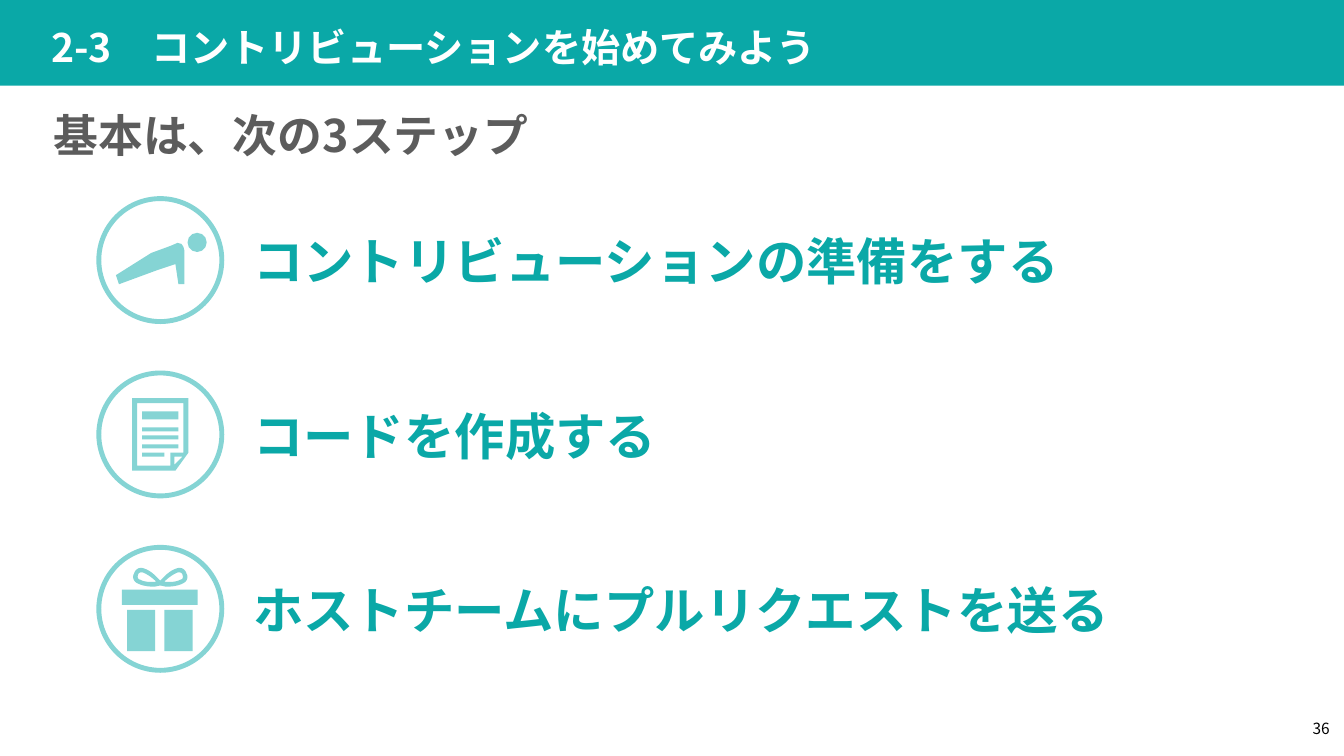
from dataclasses import dataclass

from lxml.etree import SubElement
from pptx import Presentation
from pptx.dml.color import RGBColor
from pptx.enum.shapes import MSO_SHAPE
from pptx.enum.text import MSO_ANCHOR, MSO_AUTO_SIZE, PP_ALIGN
from pptx.oxml.ns import qn
from pptx.util import Inches, Pt


@dataclass(frozen=True)
class Theme:
    font: str = "Noto Sans CJK JP"
    teal: RGBColor = RGBColor(0x0A, 0xA8, 0xA7)
    pale_teal: RGBColor = RGBColor(0x85, 0xD4, 0xD4)
    gray: RGBColor = RGBColor(0x5C, 0x5C, 0x5C)
    white: RGBColor = RGBColor(0xFF, 0xFF, 0xFF)
    black: RGBColor = RGBColor(0, 0, 0)
    title_size: Pt = Pt(28)
    lead_size: Pt = Pt(32)
    step_size: Pt = Pt(36)
    number_size: Pt = Pt(11)


def write(shape, text, size, color, bold=True, margins=(0, 0, 0, 0),
          anchor=MSO_ANCHOR.MIDDLE, align=PP_ALIGN.LEFT):
    frame = shape.text_frame
    frame.word_wrap = True
    frame.auto_size = MSO_AUTO_SIZE.NONE
    frame.vertical_anchor = anchor
    (frame.margin_left, frame.margin_top,
     frame.margin_right, frame.margin_bottom) = map(Inches, margins)
    paragraph = frame.paragraphs[0]
    paragraph.text = text
    paragraph.alignment = align
    font = paragraph.font
    font.size, font.bold, font.name = size, bold, theme.font
    font.color.rgb = color
    # East Asian glyphs take their typeface from a separate element
    SubElement(font._element, qn("a:ea")).set("typeface", theme.font)
    return paragraph


def paint(shape, fill, line=None):
    shape.shadow.inherit = False
    shape.fill.solid()
    shape.fill.fore_color.rgb = fill
    if line is None:
        shape.line.fill.background()
    else:
        shape.line.color.rgb = line
        shape.line.width = Pt(3.5)


theme = Theme()
prs = Presentation()
prs.slide_width, prs.slide_height = Inches(13.33), Inches(7.5)
slide = prs.slides.add_slide(prs.slide_layouts[5])
shapes = slide.shapes

# Header band, placed behind the title
band = shapes.add_shape(MSO_SHAPE.RECTANGLE, 0, 0, prs.slide_width, Inches(0.85))
paint(band, theme.teal)
shapes._spTree.insert(2, band._element)

title = shapes.title
title.left, title.top, title.width, title.height = 0, 0, Inches(12.52), Inches(0.82)
heading = write(title, "2-3　コントリビューションを始めてみよう", theme.title_size, theme.white,
                margins=(0.51, 0.12, 0.47, 0.12), anchor=MSO_ANCHOR.BOTTOM)
heading.line_spacing = 0.9

# Lead sentence and page number
lead = shapes.add_textbox(Inches(0.53), Inches(1.08), Inches(12.3), Inches(0.51))
write(lead, "基本は、次の3ステップ", theme.lead_size, theme.gray)
page_number = shapes.add_textbox(Inches(12.73), Inches(7.03), Inches(0.46), Inches(0.4))
write(page_number, "36", theme.number_size, theme.black, bold=False, align=PP_ALIGN.RIGHT)

# Bow of the gift: right half in cubic curves, mirrored for the left half
bow_curves = [
    [(0, -0.23), (0.02, -0.23), (0.04, -0.22), (0.07, -0.22),
     (0.12, -0.22), (0.18, -0.23), (0.22, -0.25),
     (0.27, -0.27), (0.28, -0.32), (0.26, -0.35),
     (0.25, -0.39), (0.21, -0.42), (0.16, -0.4),
     (0.09, -0.38), (0.03, -0.31), (0, -0.28)],
    [(0.17, -0.36), (0.2, -0.37), (0.22, -0.35), (0.22, -0.34),
     (0.23, -0.31), (0.22, -0.29), (0.2, -0.29),
     (0.17, -0.27), (0.1, -0.26), (0.04, -0.27),
     (0.07, -0.3), (0.12, -0.34), (0.17, -0.36)],
]
bow = []
for curve in bow_curves:
    points = [curve[0]]
    for i in range(0, len(curve) - 1, 3):
        for t in (step / 8 for step in range(1, 9)):
            weights = ((1 - t) ** 3, 3 * t * (1 - t) ** 2, 3 * t * t * (1 - t), t ** 3)
            points.append(tuple(sum(w * p[axis] for w, p in zip(weights, curve[i:i + 4]))
                                for axis in (0, 1)))
    bow += [points, [(-x, y) for x, y in points]]

# Icon parts, measured from the centre of the circle
body = [(0.24, -0.09), (0.23, -0.13), (0.21, -0.16), (0.17, -0.17), (0.1, -0.14),
        (-0.09, -0.07), (-0.44, 0.15), (-0.41, 0.24), (-0.03, 0.1), (0.15, 0.04),
        (0.18, 0.24), (0.24, 0.24)]
page = [[(0.28, 0.18), (0.28, -0.36), (-0.28, -0.36), (-0.28, 0.36), (0.15, 0.36)],
        [(0.1, 0.31), (-0.23, 0.31), (-0.23, -0.31), (0.23, -0.31), (0.23, 0.18), (0.1, 0.18)],
        [(0.14, 0.3), (0.14, 0.22), (0.22, 0.22)]]
head = (MSO_SHAPE.OVAL, 0.27, -0.27, 0.19, 0.19)
text_lines = [(MSO_SHAPE.RECTANGLE, -0.18, y, width, height) for y, width, height in
              [(-0.23, 0.36, 0.08), (-0.07, 0.36, 0.04), (0.01, 0.36, 0.04),
               (0.1, 0.36, 0.04), (0.18, 0.22, 0.04)]]
gift_box = [(MSO_SHAPE.RECTANGLE, -0.33, 0.01, 0.28, 0.41),
            (MSO_SHAPE.RECTANGLE, 0.04, 0.01, 0.28, 0.41),
            (MSO_SHAPE.RECTANGLE, -0.38, -0.19, 0.75, 0.15)]
steps = [("コントリビューションの準備をする", [body], [head]),
         ("コードを作成する", page, text_lines),
         ("ホストチームにプルリクエストを送る", bow, gift_box)]

# Three steps: circle, icon and label
center_x, first_y, pitch, diameter = 1.59, 2.58, 1.73, 1.22
for index, (label, contours, parts) in enumerate(steps):
    center_y = first_y + index * pitch
    circle = shapes.add_shape(MSO_SHAPE.OVAL, Inches(center_x - diameter / 2),
                              Inches(center_y - diameter / 2),
                              Inches(diameter), Inches(diameter))
    paint(circle, theme.white, theme.pale_teal)

    builder = None
    for contour in contours:
        start, *rest = [(Inches(center_x + x), Inches(center_y + y)) for x, y in contour]
        if builder is None:
            builder = shapes.build_freeform(*start)
        else:
            builder.move_to(*start)
        builder.add_line_segments(rest, close=True)
    paint(builder.convert_to_shape(), theme.pale_teal)

    for kind, x, y, width, height in parts:
        part = shapes.add_shape(kind, Inches(center_x + x), Inches(center_y + y),
                                Inches(width), Inches(height))
        paint(part, theme.pale_teal)

    step_label = shapes.add_textbox(Inches(2.51), Inches(center_y - 0.33),
                                    Inches(9.84), Inches(0.67))
    write(step_label, label, theme.step_size, theme.teal)

prs.save("out.pptx")
